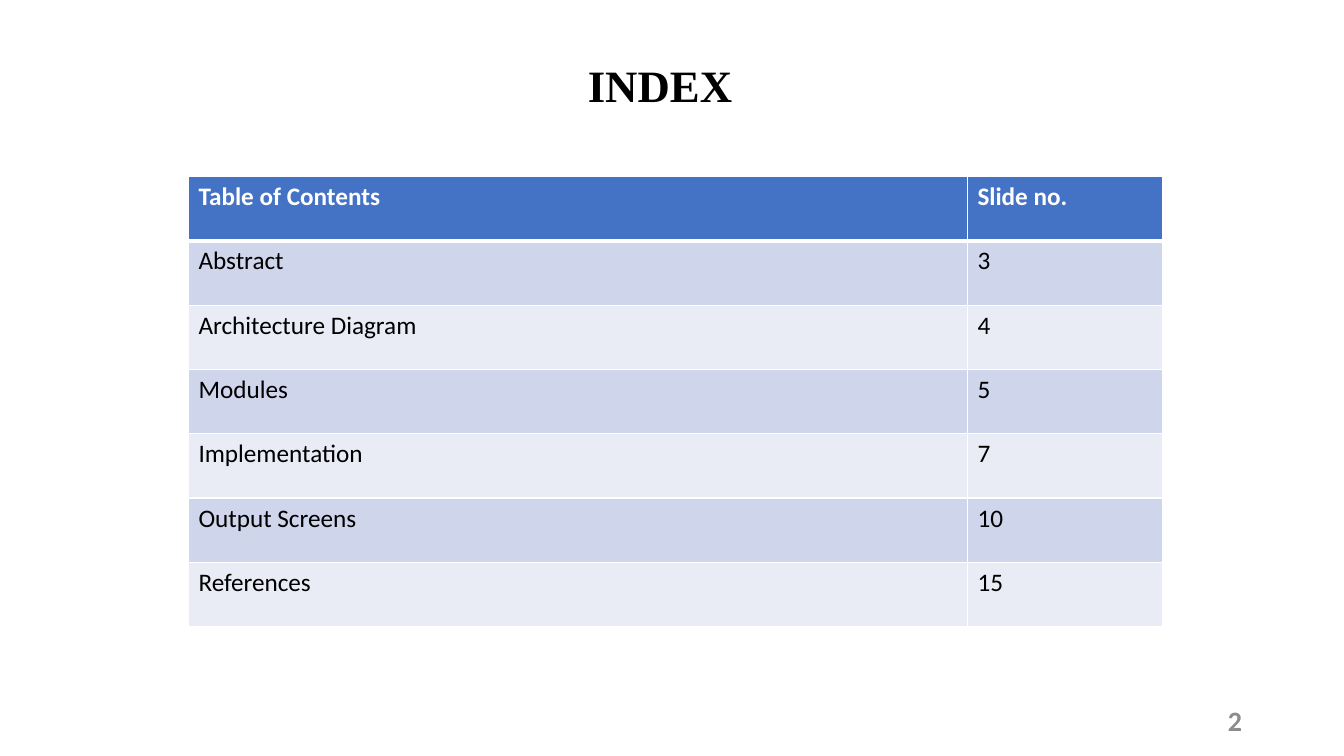
import pptx
import pptx.dml.color
import pptx.enum.text
import pptx.oxml
import pptx.oxml.ns
import pptx.util
from pptx.util import Cm

COLORS = {
    "black": "000000",
    "white": "FFFFFF",
    "page_number": "8C8C8C",
    "header": "4472C4",
    "odd_row": "CFD5EA",
    "even_row": "E9EBF5",
}
CONTENTS = [
    ("Table of Contents", "Slide no."),
    ("Abstract", "3"),
    ("Architecture Diagram", "4"),
    ("Modules", "5"),
    ("Implementation", "7"),
    ("Output Screens", "10"),
    ("References", "15"),
]
COLUMN_WIDTHS = [Cm(19.63), Cm(4.93)]
ROW_HEIGHT = Cm(1.62)
ALIGN = pptx.enum.text.PP_ALIGN
MIDDLE = pptx.enum.text.MSO_ANCHOR.MIDDLE


def rgb(color):
    return pptx.dml.color.RGBColor.from_string(COLORS[color])


def write_text(frame, text, size=18, font="Calibri", color="black",
               bold=False, align=ALIGN.LEFT, line_spacing=None):
    frame.word_wrap = True
    paragraph = frame.paragraphs[0]
    paragraph.alignment = align
    paragraph.line_spacing = line_spacing
    run = paragraph.add_run()
    run.text = text
    run.font.size = pptx.util.Pt(size)
    run.font.name = font
    run.font.bold = bold
    run.font.color.rgb = rgb(color)


def set_borders(cell, **widths):
    """Draw white cell borders; widths in points are keyed by L, R, T and B."""
    properties = cell._tc.get_or_add_tcPr()
    namespace = pptx.oxml.ns.nsdecls("a")
    for position, side in enumerate("LRTB"):
        width = pptx.util.Pt(widths.get(side, 1))
        border = pptx.oxml.parse_xml(
            f'<a:ln{side} {namespace} w="{width}"><a:solidFill>'
            f'<a:srgbClr val="{COLORS["white"]}"/></a:solidFill></a:ln{side}>')
        properties.insert(position, border)


def add_title(slide, text):
    title = slide.shapes.title
    title.left, title.top = Cm(2.03), Cm(0.38)
    title.width, title.height = Cm(29.21), Cm(3.68)
    title.text_frame.vertical_anchor = MIDDLE
    write_text(title.text_frame, text, size=32, font="Times New Roman",
               bold=True, align=ALIGN.CENTER, line_spacing=0.9)


def add_page_number(slide, number):
    page_number = slide.shapes.add_textbox(
        Cm(23.93), Cm(17.65), Cm(7.62), Cm(1.02))
    page_number.text_frame.vertical_anchor = MIDDLE
    write_text(page_number.text_frame, number, size=20, color="page_number",
               bold=True, align=ALIGN.RIGHT)


def add_contents_table(slide, entries):
    contents = slide.shapes.add_table(
        len(entries), len(COLUMN_WIDTHS), Cm(4.75), Cm(4.45),
        sum(COLUMN_WIDTHS), ROW_HEIGHT * len(entries)).table
    for column, width in zip(contents.columns, COLUMN_WIDTHS):
        column.width = width
    for row_index, entry in enumerate(entries):
        contents.rows[row_index].height = ROW_HEIGHT
        is_header = row_index == 0
        band = "odd_row" if row_index % 2 else "even_row"
        for column_index, text in enumerate(entry):
            cell = contents.cell(row_index, column_index)
            cell.fill.solid()
            cell.fill.fore_color.rgb = rgb("header" if is_header else band)
            set_borders(cell, T=3 if row_index == 1 else 1,
                        B=3 if is_header else 1)
            write_text(cell.text_frame, text, bold=is_header,
                       color="white" if is_header else "black")


def main():
    presentation = pptx.Presentation()
    presentation.slide_width, presentation.slide_height = Cm(33.87), Cm(19.05)
    title_only = presentation.slide_layouts[5]
    slide = presentation.slides.add_slide(title_only)
    add_title(slide, "INDEX")
    add_page_number(slide, "2")
    add_contents_table(slide, CONTENTS)
    presentation.save("out.pptx")


if __name__ == "__main__":
    main()
